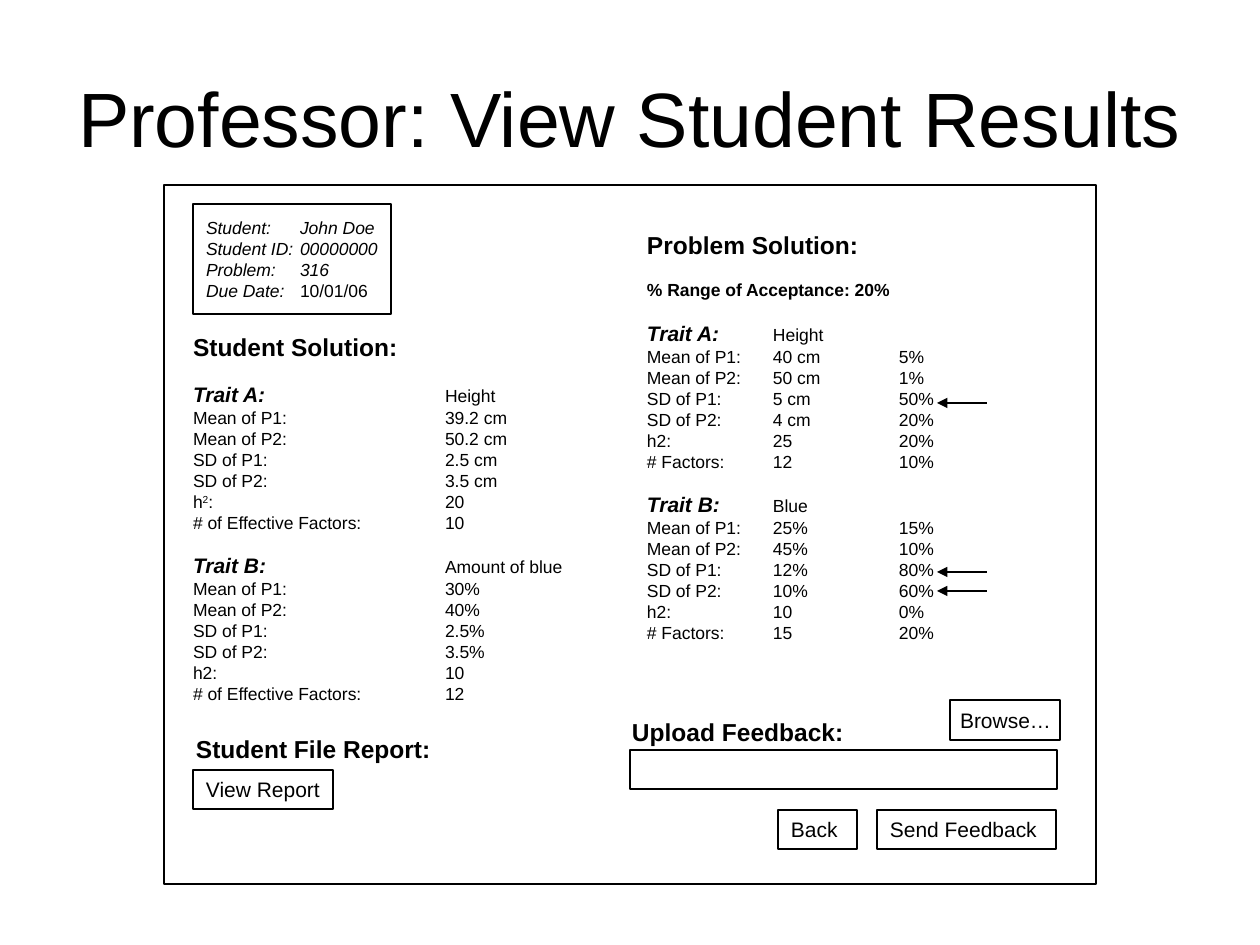
from lxml import etree
from pptx import Presentation
from pptx.dml.color import RGBColor
from pptx.enum.shapes import MSO_CONNECTOR, MSO_SHAPE
from pptx.enum.text import MSO_ANCHOR, PP_ALIGN
from pptx.oxml.ns import qn
from pptx.util import Emu, Pt

RECTANGLE = MSO_SHAPE.RECTANGLE
STRAIGHT = MSO_CONNECTOR.STRAIGHT
TOP, MIDDLE = MSO_ANCHOR.TOP, MSO_ANCHOR.MIDDLE
LEFT, CENTER = PP_ALIGN.LEFT, PP_ALIGN.CENTER

PIXELS_PER_INCH = 126
COLORS = {"ink": "000000"}
FONT = "Arial"
BLANK_LINE = 20

STUDENT_TRAITS = [
    [("Trait A:", "Height"), ("Mean of P1:", "39.2 cm"),
     ("Mean of P2:", "50.2 cm"), ("SD of P1:", "2.5 cm"),
     ("SD of P2:", "3.5 cm"), ("h^2:", "20"),
     ("# of Effective Factors:", "10")],
    [("Trait B:", "Amount of blue"), ("Mean of P1:", "30%"),
     ("Mean of P2:", "40%"), ("SD of P1:", "2.5%"),
     ("SD of P2:", "3.5%"), ("h2:", "10"),
     ("# of Effective Factors:", "12")],
]
PROBLEM_TRAITS = [
    [("Trait A:", "Height"), ("Mean of P1:", "40 cm", "5%"),
     ("Mean of P2:", "50 cm", "1%"), ("SD of P1:", "5 cm", "50%"),
     ("SD of P2:", "4 cm", "20%"), ("h2:", "25", "20%"),
     ("# Factors:", "12", "10%")],
    [("Trait B:", "Blue"), ("Mean of P1:", "25%", "15%"),
     ("Mean of P2:", "45%", "10%"), ("SD of P1:", "12%", "80%"),
     ("SD of P2:", "10%", "60%"), ("h2:", "10", "0%"),
     ("# Factors:", "15", "20%")],
]


def px(length):
    return Emu(round(length * 914400 / PIXELS_PER_INCH))


def color(name):
    return RGBColor.from_string(COLORS[name])


def set_font(font, size, bold=False, italic=False):
    font.name, font.size = FONT, Pt(size)
    font.bold, font.italic = bold, italic
    font.color.rgb = color("ink")


def format_frame(frame, anchor, left=13, right=0):
    frame.word_wrap = True
    frame.vertical_anchor = anchor
    frame.margin_left, frame.margin_right = px(left), px(right)
    frame.margin_top = frame.margin_bottom = px(6)


def set_tabs(paragraph, stops):
    tab_list = etree.SubElement(paragraph._p.get_or_add_pPr(), qn("a:tabLst"))
    for stop in stops:
        etree.SubElement(tab_list, qn("a:tab"), pos=str(px(stop)), algn="l")


def add_line(frame, text="", size=10, bold=False, italic=False, gap=0, tabs=()):
    """Fill the empty first paragraph, or start a new one."""
    paragraph = frame.paragraphs[-1]
    if paragraph.runs:
        paragraph = frame.add_paragraph()
    paragraph.alignment = LEFT
    paragraph.space_before = px(gap)
    if tabs:
        set_tabs(paragraph, tabs)
    set_font(paragraph.font, size, bold, italic)
    if text:
        paragraph.add_run().text = text
    return paragraph


def add_box(slide, box):
    shape = slide.shapes.add_shape(RECTANGLE, *map(px, box))
    shape.shadow.inherit = False
    shape.fill.background()
    shape.line.color.rgb = color("ink")
    shape.line.width = Pt(0.75)
    return shape


def add_text_frame(slide, box):
    frame = slide.shapes.add_textbox(*map(px, box)).text_frame
    format_frame(frame, TOP)
    return frame


def add_title(slide, box, text):
    title = slide.shapes.title
    title.left, title.top, title.width, title.height = map(px, box)
    title.text_frame.text = text
    format_frame(title.text_frame, MIDDLE, right=13)
    paragraph = title.text_frame.paragraphs[0]
    paragraph.alignment = CENTER
    set_font(paragraph.font, 44)


def add_student_card(slide, box):
    frame = add_box(slide, box).text_frame
    format_frame(frame, MIDDLE)
    for label, value in [("Student:", "John Doe"), ("Student ID:", "00000000"),
                         ("Problem:", "316")]:
        add_line(frame, f"{label}\t{value}", italic=True, tabs=[94])
    due_date = add_line(frame, "Due Date:\t", italic=True, tabs=[94])
    date = due_date.add_run()
    date.text = "10/01/06"
    date.font.italic = False


def add_traits(frame, traits, tabs):
    for (name, measure), *rows in traits:
        heading = add_line(frame, name, gap=BLANK_LINE, tabs=tabs)
        set_font(heading.runs[0].font, 12, bold=True, italic=True)
        heading.add_run().text = f"\t{measure}"
        for label, *values in rows:
            base, power, rest = label.partition("^")
            paragraph = add_line(frame, base, tabs=tabs)
            if power:
                exponent = paragraph.add_run()
                exponent.text = rest[0]
                exponent._r.get_or_add_rPr().set("baseline", "30000")
            paragraph.add_run().text = "\t".join([rest[1:], *values])


def add_student_solution(slide, box):
    frame = add_text_frame(slide, box)
    add_line(frame, "Student Solution:", 14, bold=True)
    add_traits(frame, STUDENT_TRAITS, [252])


def add_arrow(slide, left, top, length):
    arrow = slide.shapes.add_connector(
        STRAIGHT, px(left + length), px(top), px(left), px(top))
    arrow.line.color.rgb = color("ink")
    arrow.line.width = Pt(0.75)
    etree.SubElement(arrow.line._get_or_add_ln(), qn("a:tailEnd"), type="triangle")
    etree.SubElement(arrow._element.spPr, qn("a:effectLst"))


def add_problem_solution(slide, box):
    left, top, _, _ = box
    frame = add_text_frame(slide, box)
    add_line(frame, "Problem Solution:", 14, bold=True)
    add_line(frame, "% Range of Acceptance: 20%", bold=True, gap=BLANK_LINE)
    add_traits(frame, PROBLEM_TRAITS, [126, 252])
    # Arrows at the values out of range
    for offset in (179, 348, 367):
        add_arrow(slide, left + 303, top + offset, 50)


def add_label(slide, box, text):
    add_line(add_text_frame(slide, box), text, 14, bold=True)


def add_button(slide, box, text, inset=13):
    frame = add_box(slide, box).text_frame
    format_frame(frame, MIDDLE, left=inset)
    add_line(frame, text, 12)


def add_report(slide, box):
    left, top, width, _ = box
    add_label(slide, (left, top, width, 43), "Student File Report:")
    add_button(slide, (left + 10, top + 42, 140, 39), "View Report")


def add_feedback(slide, box):
    left, top, width, _ = box
    add_label(slide, (left, top + 11, 260, 43), "Upload Feedback:")
    add_button(slide, (left + 331, top, 110, 40), "Browse…", inset=10)
    add_box(slide, (left + 11, top + 50, width - 14, 39))
    add_button(slide, (left + 159, top + 110, 79, 39), "Back")
    add_button(slide, (left + 258, top + 110, 179, 39), "Send Feedback")


def main():
    presentation = Presentation()
    presentation.slide_width, presentation.slide_height = px(1260), px(945)
    slide = presentation.slides.add_slide(presentation.slide_layouts[5])
    add_title(slide, (63, 38, 1134, 157), "Professor: View Student Results")
    # Window outline
    add_box(slide, (164, 185, 932, 699))
    # Left column
    add_student_card(slide, (193, 204, 198, 110))
    add_student_solution(slide, (180, 326, 420, 387))
    add_report(slide, (183, 728, 280, 81))
    # Right column
    add_problem_solution(slide, (634, 224, 442, 430))
    add_feedback(slide, (619, 700, 441, 149))
    presentation.save("out.pptx")


if __name__ == "__main__":
    main()
